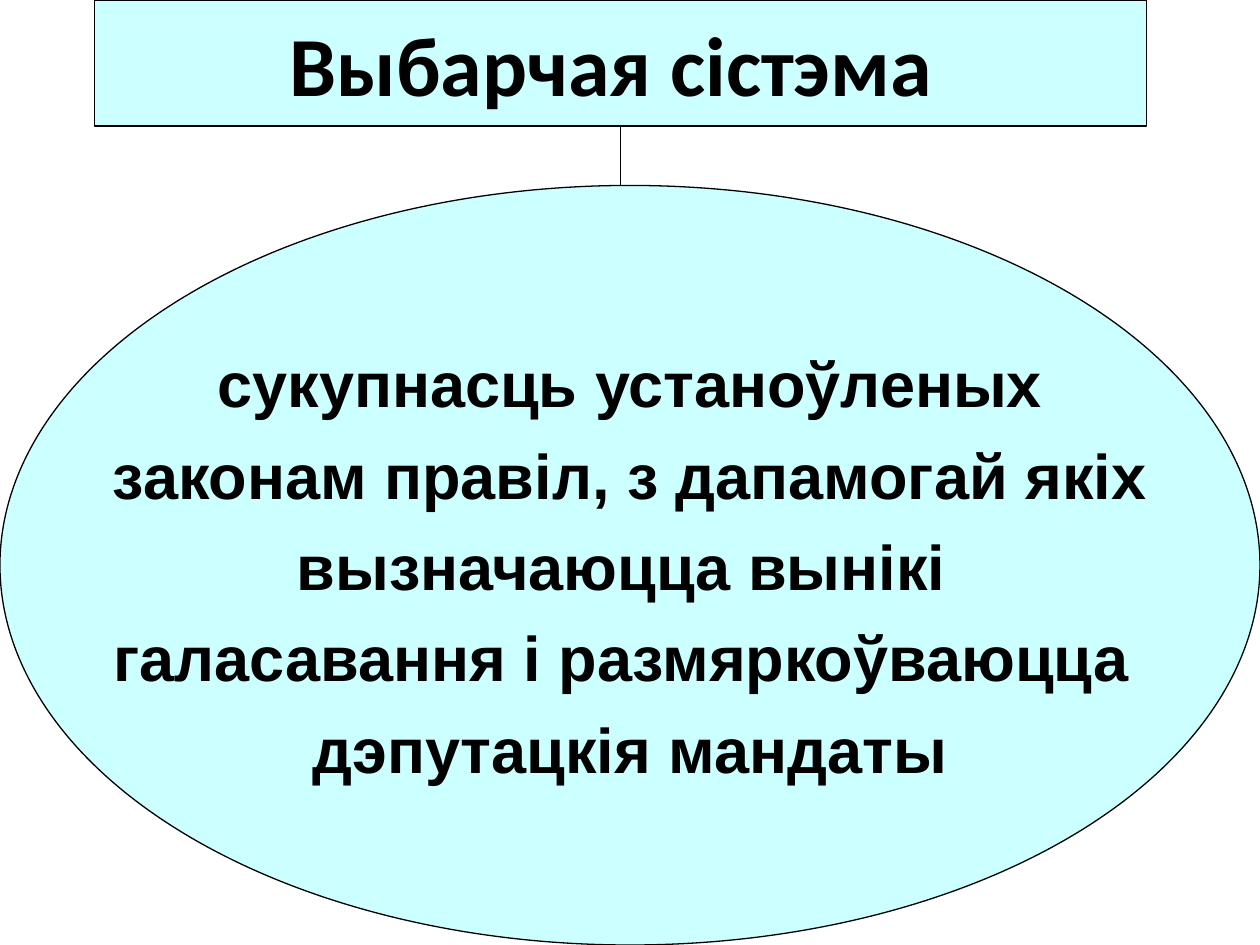
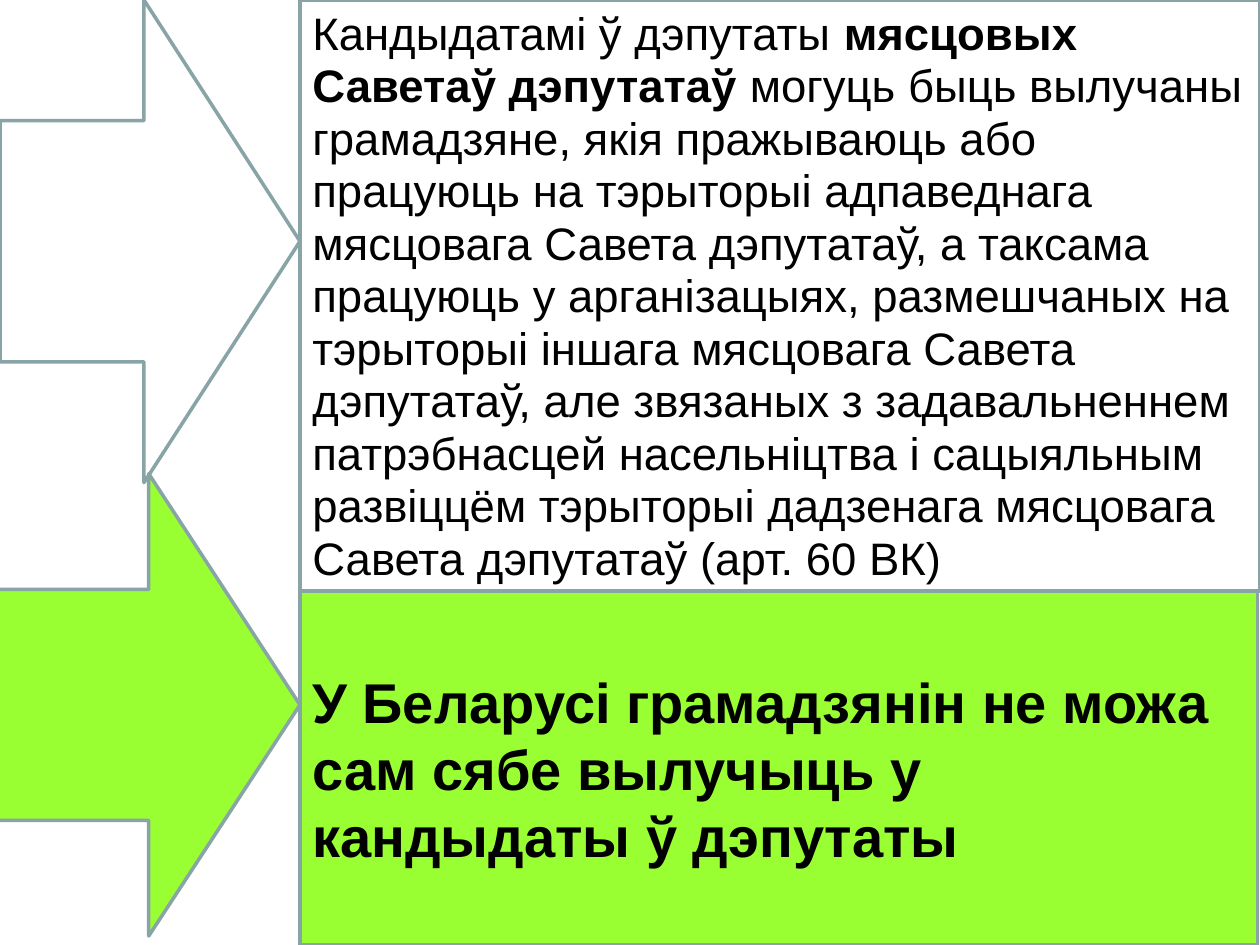
"""Build two slides on the electoral system and the nomination of candidates."""
from dataclasses import dataclass

from lxml.etree import SubElement
from pptx import Presentation
from pptx.dml.color import RGBColor
from pptx.enum.shapes import MSO_CONNECTOR as Connector, MSO_SHAPE as Shape
from pptx.enum.text import MSO_ANCHOR as Anchor, MSO_AUTO_SIZE as AutoSize, PP_ALIGN as Align
from pptx.oxml.ns import qn
from pptx.util import Pt

TITLE = "Выбарчая сістэма "
DEFINITION = [
    "сукупнасць устаноўленых",
    " законам правіл, з дапамогай якіх ",
    "вызначаюцца вынікі ",
    "галасавання і размяркоўваюцца ",
    "дэпутацкія мандаты",
]
NOMINATION = [
    ("Кандыдатамі ў дэпутаты ", False),
    ("мясцовых Саветаў дэпутатаў ", True),
    ("могуць быць вылучаны грамадзяне, якія пражываюць або працуюць на тэрыторыі "
     "адпаведнага мясцовага Савета дэпутатаў, а таксама працуюць у арганізацыях, "
     "размешчаных на тэрыторыі іншага мясцовага Савета дэпутатаў, але звязаных з "
     "задавальненнем патрэбнасцей насельніцтва і сацыяльным развіццём тэрыторыі "
     "дадзенага мясцовага Савета дэпутатаў (арт. 60 ВК)", False),
]
RESTRICTION = [("У Беларусі грамадзянін не можа сам сябе вылучыць у кандыдаты ў дэпутаты", True)]


@dataclass(frozen=True)
class Theme:
    """Colours, fonts, type sizes and line widths."""
    ink: str = "000000"
    aqua: str = "CCFFFF"
    lime: str = "99FF33"
    edge: str = "89A4A7"
    title_font: str = "Calibri"
    body_font: str = "Arial"
    title_size: float = 48
    definition_size: float = 36
    restriction_size: float = 32
    nomination_size: float = 26
    thin: float = 0.75
    medium: float = 2
    thick: float = 5


THEME = Theme()
WIDTH, HEIGHT = 720, 540
TITLE_LEFT, TITLE_WIDTH, TITLE_HEIGHT = 54, 601.2, 72
OVAL_TOP = 106
DOT_TOP = 134
PANEL_LEFT, PANEL_SPLIT = 171.4, 337.7
FRAME = {"margin_left": Pt(7.2), "margin_right": Pt(7.2), "margin_top": Pt(3.6),
         "margin_bottom": Pt(3.6), "vertical_anchor": Anchor.MIDDLE,
         "auto_size": AutoSize.NONE}


def apply(target, values):
    """Set every named attribute on the target."""
    for name, value in values.items():
        setattr(target, name, value)


def paint(shape, fill, line, width):
    """Set the fill and the outline of a shape."""
    if fill:
        shape.fill.solid()
        shape.fill.fore_color.rgb = RGBColor.from_string(fill)
    else:
        shape.fill.background()
    shape.line.color.rgb = RGBColor.from_string(line)
    shape.line.width = Pt(width)


def place(shape, left, top, width, height):
    """Move and size a shape, in points."""
    apply(shape, {"left": Pt(left), "top": Pt(top), "width": Pt(width), "height": Pt(height)})


def add_box(page, kind, area, fill, line, width):
    """Add a flat preset shape."""
    box = page.shapes.add_shape(kind, *map(Pt, area))
    box.shadow.inherit = False
    paint(box, fill, line, width)
    return box


def write(box, paras, size, font=THEME.body_font, wrap=True, **layout):
    """Fill a box with paragraphs, each a list of (text, bold) spans."""
    frame = box.text_frame
    apply(frame, FRAME | {"word_wrap": wrap})
    for index, spans in enumerate(paras):
        para = frame.add_paragraph() if index else frame.paragraphs[0]
        apply(para, layout)
        for text, bold in spans:
            span = para.add_run()
            span.text = text
            apply(span.font, {"name": font, "size": Pt(size), "bold": bold})
            span.font.color.rgb = RGBColor.from_string(THEME.ink)


def add_line(page, x, top, bottom, width):
    """Add a vertical line without shadow."""
    line = page.shapes.add_connector(Connector.STRAIGHT, Pt(x), Pt(top), Pt(x), Pt(bottom))
    line.line.color.rgb = RGBColor.from_string(THEME.ink)
    line.line.width = Pt(width)
    SubElement(line._element.spPr, qn("a:effectLst"))


def build_definition(deck):
    """Show the title band joined to the oval with the definition."""
    page = deck.slides.add_slide(deck.slide_layouts[5])
    title = page.shapes.title
    place(title, TITLE_LEFT, 0, TITLE_WIDTH, TITLE_HEIGHT)
    paint(title, THEME.aqua, THEME.ink, THEME.thin)
    write(title, [[(TITLE, True)]], THEME.title_size, THEME.title_font,
          wrap=False, alignment=Align.CENTER)
    oval = add_box(page, Shape.OVAL, (0, OVAL_TOP, WIDTH, HEIGHT - OVAL_TOP),
                   THEME.aqua, THEME.ink, THEME.thin)
    write(oval, [[(text, True)] for text in DEFINITION], THEME.definition_size,
          wrap=False, alignment=Align.CENTER, space_before=Pt(9))
    middle = TITLE_LEFT + TITLE_WIDTH / 2
    add_line(page, middle, DOT_TOP, DOT_TOP, THEME.thick)
    add_line(page, middle, TITLE_HEIGHT, OVAL_TOP, THEME.thin)


def build_nomination(deck):
    """Show two arrows pointing at the rule and its restriction."""
    page = deck.slides.add_slide(deck.slide_layouts[6])
    arrows = [((0, 0, PANEL_LEFT, 275.8), 0.52, None),
              ((-1.4, 270.7, PANEL_LEFT + 1.4, 264.2), 0.5, THEME.lime)]
    for area, head, fill in arrows:
        arrow = add_box(page, Shape.RIGHT_ARROW, area, fill, THEME.edge, THEME.medium)
        arrow.adjustments[1] = head
    panel_width = WIDTH - PANEL_LEFT
    panels = [
        ((PANEL_LEFT, 0, panel_width, PANEL_SPLIT), None, NOMINATION,
         THEME.nomination_size, {"line_spacing": Pt(30)}),
        ((PANEL_LEFT, PANEL_SPLIT, panel_width - 1.4, HEIGHT - PANEL_SPLIT), THEME.lime,
         RESTRICTION, THEME.restriction_size, {}),
    ]
    for area, fill, spans, size, layout in panels:
        panel = add_box(page, Shape.RECTANGLE, area, fill, THEME.edge, THEME.medium)
        write(panel, [spans], size, alignment=Align.LEFT, **layout)


def main():
    """Build and save the deck."""
    deck = Presentation()
    apply(deck, {"slide_width": Pt(WIDTH), "slide_height": Pt(HEIGHT)})
    build_definition(deck)
    build_nomination(deck)
    deck.save("out.pptx")


if __name__ == "__main__":
    main()
